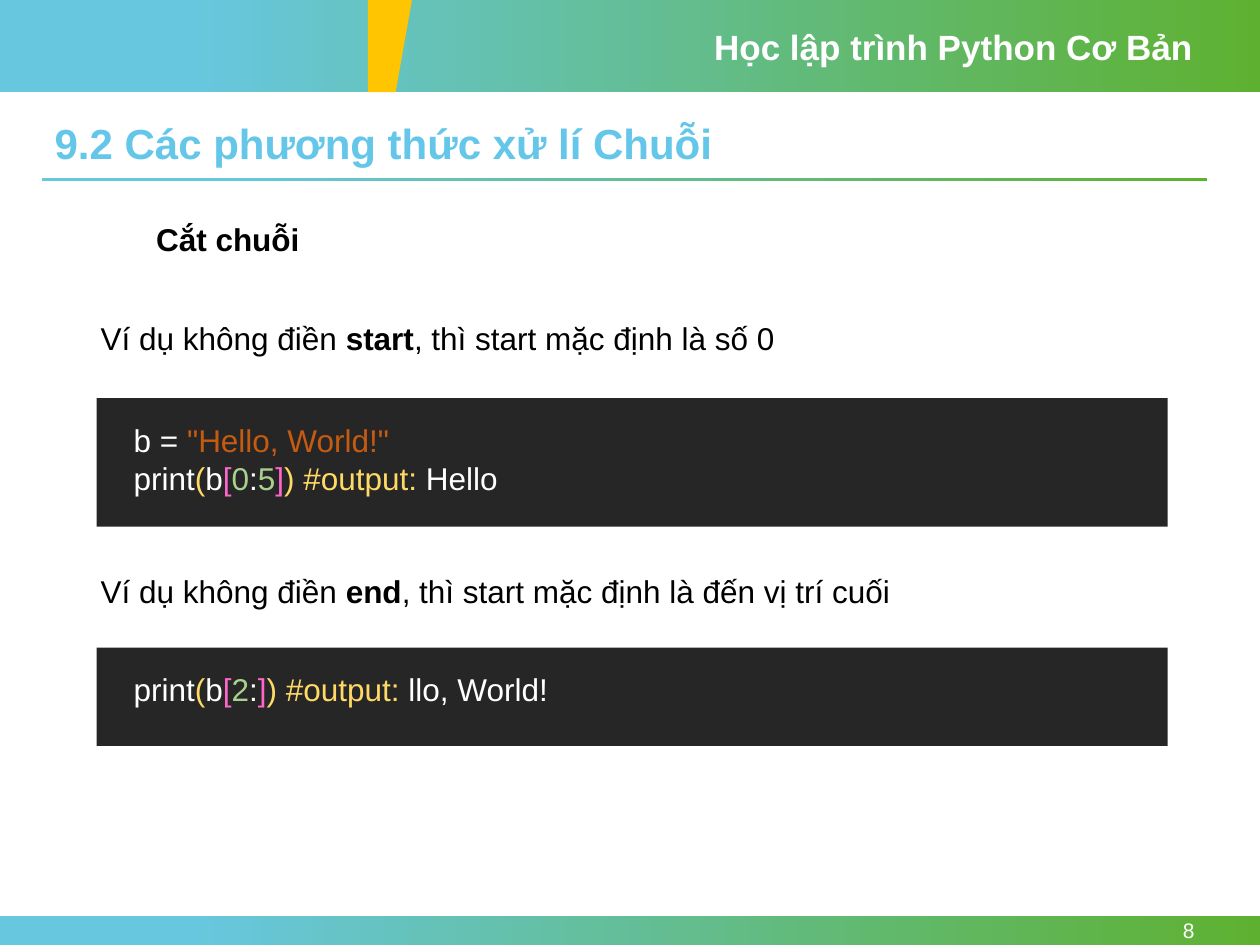
from pptx import Presentation
from pptx.dml.color import RGBColor
from pptx.enum.shapes import MSO_SHAPE as Shape
from pptx.enum.text import MSO_ANCHOR as Anchor, PP_ALIGN as Align
from pptx.util import Pt

WHITE, BLACK, DARK = "FFFFFF", "000000", "262626"
BLUE, GREEN, AMBER = "67C7DF", "5EB130", "FFC500"
SKY, RUST, GOLD, PINK, MINT = "64C7E9", "C55A11", "FFD966", "FF66CC", "A9D18E"

COURSE = "Học lập trình Python Cơ Bản"
TITLE = "9.2 Các phương thức xử lí Chuỗi"
TOPIC = "Cắt chuỗi"
PAGE = "8"


def slice_line(inner, out):
    """Coloured parts of a print line that slices b."""
    return [("print", WHITE), ("(", GOLD), ("b", WHITE), ("[", PINK), *inner,
            ("]", PINK), (") #output: ", GOLD), (out, WHITE)]


# Each example: note top, note parts, panel top, panel height, code lines
EXAMPLES = [
    (178.6, ("start", ", thì start mặc định là số 0"), 227.5, 73.4,
     [[("b = ", WHITE), ('"Hello, World!"', RUST)],
      slice_line([("0", MINT), (":", WHITE), ("5", MINT)], "Hello")]),
    (323.3, ("end", ", thì start mặc định là đến vị trí cuối"), 370.1, 56.2,
     [slice_line([("2", MINT), (":", WHITE)], "llo, World!")]),
]
BARS = [(0, 0, 720, 52.6), (0, 523.4, 720, 16.6), (24, 101.5, 666, 2)]
WEDGE = [(210.2, 0), (235.4, 0), (226.1, 52.6), (210.2, 52.6)]


def rgb(code):
    return RGBColor.from_string(code)


def paint(shape, color):
    shape.fill.solid()
    shape.fill.fore_color.rgb = rgb(color)
    shape.line.fill.background()
    shape.shadow.inherit = False


def add_rect(box):
    return slide.shapes.add_shape(Shape.RECTANGLE, *map(Pt, box))


def add_bar(box):
    bar = add_rect(box)
    paint(bar, BLUE)
    bar.fill.gradient()
    bar.fill.gradient_angle = 0
    for stop, pos, color in zip(bar.fill.gradient_stops, (0.15, 1), (BLUE, GREEN)):
        stop.position = pos
        stop.color.rgb = rgb(color)


def add_run(para, text, color, size=18, bold=False):
    run = para.add_run()
    run.text = text
    font = run.font
    font.name, font.size, font.bold = "Arial", Pt(size), bold
    font.color.rgb = rgb(color)


def add_text(box, lines, align=Align.LEFT, anchor=Anchor.TOP):
    """Lines are lists of (text, color, size, bold); the last two may be left out."""
    frame = slide.shapes.add_textbox(*map(Pt, box)).text_frame
    frame.word_wrap = True
    frame.vertical_anchor = anchor
    for i, parts in enumerate(lines):
        para = frame.add_paragraph() if i else frame.paragraphs[0]
        para.alignment = align
        for part in parts:
            add_run(para, *part)


deck = Presentation()
deck.slide_width, deck.slide_height = Pt(720), Pt(540)
slide = deck.slides.add_slide(deck.slide_layouts[5])

for bar in BARS:
    add_bar(bar)
pen = slide.shapes.build_freeform(Pt(WEDGE[0][0]), Pt(WEDGE[0][1]))
pen.add_line_segments([(Pt(x), Pt(y)) for x, y in WEDGE[1:]], close=True)
paint(pen.convert_to_shape(), AMBER)

title = slide.shapes.title
title.left, title.top, title.width, title.height = map(Pt, (24, 67, 666, 33.1))
head = title.text_frame
head.vertical_anchor = Anchor.TOP
head.paragraphs[0].alignment = Align.LEFT
head.paragraphs[0].line_spacing = 0.9
add_run(head.paragraphs[0], TITLE, SKY, 24, True)

add_text((401, 10.8, 288, 31.5), [[(COURSE, WHITE, 20, True)]])
add_text((623.5, 523.4, 66.2, 16.6), [[(PAGE, WHITE, 12)]], Align.RIGHT, Anchor.MIDDLE)
add_text((82.1, 122.4, 506, 29), [[(TOPIC, BLACK, 18, True)]])

for note_top, (key, rest), top, height, code in EXAMPLES:
    add_text((50.4, note_top, 617, 29),
             [[("Ví dụ không điền ", BLACK), (key, BLACK, 18, True), (rest, BLACK)]])
    paint(add_rect((55.3, top, 612, height)), DARK)
    add_text((69.3, top + 9.4, 583, 7.2 + 21.8 * len(code)), code)

deck.save("out.pptx")
